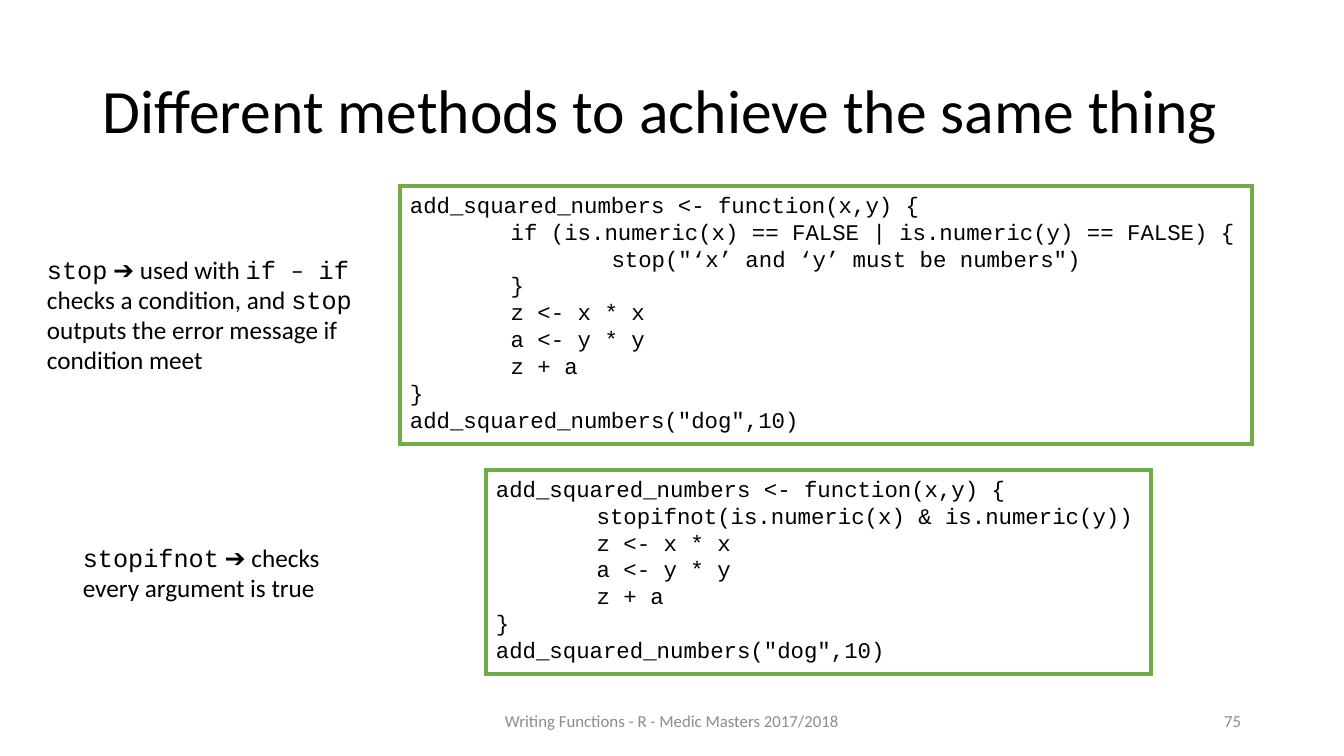
import pptx
import pptx.util
import pptx.dml.color
import pptx.enum.shapes
import pptx.enum.text
import pptx.oxml.ns
import lxml.etree
from dataclasses import dataclass

Pt = pptx.util.Pt
Align = pptx.enum.text.PP_ALIGN
Anchor = pptx.enum.text.MSO_ANCHOR


@dataclass(frozen=True)
class Theme:
    """Colours, fonts and type sizes of the slide."""
    ink: str = "000000"
    paper: str = "FFFFFF"
    grey: str = "8C8C8C"
    green: str = "70AD47"
    sans: str = "Calibri"
    mono: str = "Courier New"
    title: int = 44
    note: int = 18
    code: int = 16
    foot: int = 12


THEME = Theme()
STOP = """add_squared_numbers <- function(x,y) {
\tif (is.numeric(x) == FALSE | is.numeric(y) == FALSE) {
\t\tstop("‘x’ and ‘y’ must be numbers")
\t}
\tz <- x * x
\ta <- y * y
\tz + a
}
add_squared_numbers("dog",10)"""
IFNOT = """add_squared_numbers <- function(x,y) {
\tstopifnot(is.numeric(x) & is.numeric(y))
\tz <- x * x
\ta <- y * y
\tz + a
}
add_squared_numbers("dog",10)"""


def px(count):
    """Turn pixels into EMU."""
    return pptx.util.Emu(round(count * 914400 / 100.8))


def tint(code):
    """Make a colour from its hex code."""
    return pptx.dml.color.RGBColor.from_string(code)


def style(thing, values):
    """Set each named attribute."""
    for name, value in values.items():
        setattr(thing, name, value)


def node(root, tag, **values):
    """Add a drawing element with its attributes."""
    return lxml.etree.SubElement(root, pptx.oxml.ns.qn(tag), values)


def tabs(shape):
    """Set tab stops one inch apart."""
    for para in shape.text_frame.paragraphs:
        stops = node(para._p.get_or_add_pPr(), "a:tabLst")
        for inch in (1, 2):
            node(stops, "a:tab", pos=str(pptx.util.Inches(inch)), algn="l")


def write(shape, text, size, color=THEME.ink, anchor=Anchor.TOP, mono=False, **form):
    """Fill a shape with lines, where a backtick switches the font."""
    frame = shape.text_frame
    style(frame, {"word_wrap": True, "vertical_anchor": anchor})
    for row, line in enumerate(text.split("\n")):
        para = frame.add_paragraph() if row else frame.paragraphs[0]
        style(para, {"alignment": Align.LEFT, **form})
        for part, words in enumerate(line.split("`")):
            if words:
                run = para.add_run()
                run.text = words
                fixed = mono or part % 2
                style(run.font, {"size": Pt(size),
                                 "name": THEME.mono if fixed else THEME.sans})
                run.font.color.rgb = tint(color)


def label(slide, box, text, size, **form):
    """Add a text box."""
    write(slide.shapes.add_textbox(*map(px, box)), text, size, **form)


def code(slide, box, text):
    """Add a green frame with sharp corners that holds code."""
    kind = pptx.enum.shapes.MSO_SHAPE.RECTANGLE
    shape = slide.shapes.add_shape(kind, *map(px, box))
    shape.shadow.inherit = False
    shape.fill.solid()
    shape.fill.fore_color.rgb = tint(THEME.paper)
    shape.line.color.rgb = tint(THEME.green)
    shape.line.width = Pt(3)
    node(shape.line._get_or_add_ln(), "a:miter", lim="800000")
    write(shape, text, THEME.code, mono=True)
    tabs(shape)


def main():
    """Build and save the slide."""
    deck = pptx.Presentation()
    style(deck, {"slide_width": px(1344), "slide_height": px(756)})
    slide = deck.slides.add_slide(deck.slide_layouts[6])
    label(slide, (93, 41, 1159, 146), "Different methods to achieve the same thing",
          THEME.title, anchor=Anchor.MIDDLE, line_spacing=0.9)
    foot = {"size": THEME.foot, "color": THEME.grey, "anchor": Anchor.MIDDLE}
    label(slide, (445, 701, 454, 40), "Writing Functions - R - Medic Masters 2017/2018",
          alignment=Align.CENTER, **foot)
    label(slide, (949, 701, 302, 40), "75", alignment=Align.RIGHT, **foot)
    code(slide, (486, 470, 665, 204), IFNOT)
    code(slide, (400, 186, 852, 258), STOP)
    label(slide, (73, 537, 272, 72), "`stopifnot` ➔ checks every argument is true",
          THEME.note)
    label(slide, (37, 249, 345, 132), "`stop` ➔ used with `if `–` if `checks a condition, "
          "and `stop` outputs the error message if condition meet", THEME.note)
    deck.save("out.pptx")


main()
